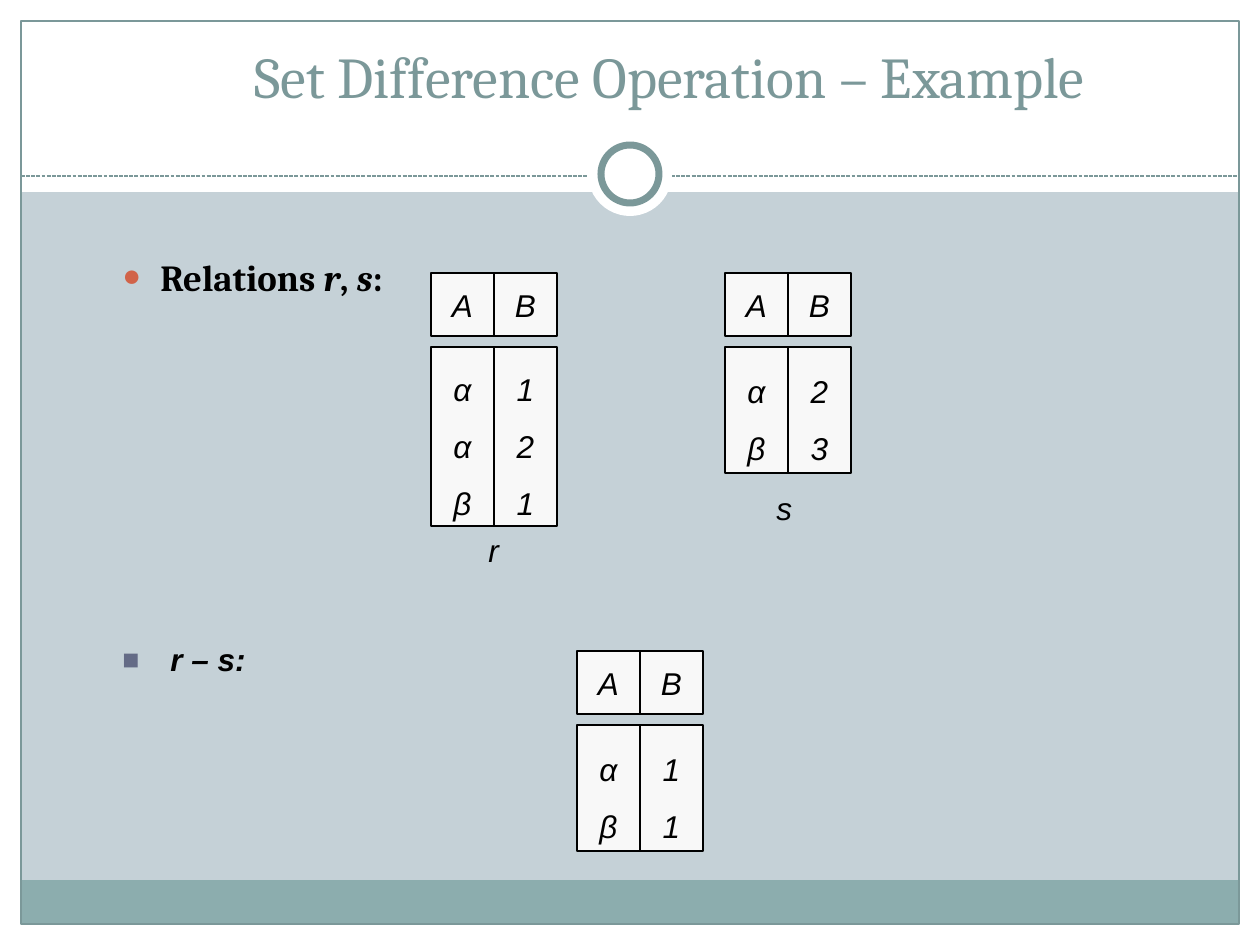
from lxml.etree import SubElement
from pptx import Presentation
from pptx.dml.color import RGBColor as RGB
from pptx.enum.dml import MSO_LINE as Dash
from pptx.enum.shapes import MSO_CONNECTOR as Link, MSO_SHAPE as Kind
from pptx.enum.text import MSO_ANCHOR as Anchor, MSO_AUTO_SIZE as Fit, PP_ALIGN as Align
from pptx.oxml.ns import qn
from pptx.util import Emu, Pt

# Content
TITLE = "Set Difference Operation – Example"
TABLES = [  # left, top, columns of values
    (431, 273, {"A": "ααβ", "B": "121"}),
    (725, 273, {"A": "αβ", "B": "23"}),
    (577, 651, {"A": "αβ", "B": "11"}),
]
LABELS = [("r", (476, 525, 35, 50)), ("s", (764, 483, 40, 50))]
ITEMS = [  # box, style, runs of (text, italic)
    ((110, 261, 945, 47), "topic",
     [("Relations ", False), ("r", True), (", ", False), ("s", True), (":", False)]),
    ((110, 638, 969, 45), "result", [("r – s:", True)]),
]


class Theme:
    back, white, cell, ink = "C5D1D7", "FFFFFF", "F8F8F8", "000000"
    line, foot = "7B9899", "8CADAE"
    thin, ring = 0.75, 4
    title = dict(name="Cambria", size=Pt(33), bold=False, italic=False)
    topic = dict(name="Cambria", size=Pt(21), bold=True)
    result = dict(name="Arial", size=Pt(18), bold=True)
    value = dict(name="Arial", size=Pt(18), italic=True)
    bullets = {  # mark, colour, size in percent, indent in px, line spacing
        "topic": ("●", "D16349", 85, 38, 0.7),
        "result": ("■", "646B86", 90, 48, 0.9),
    }


# Layout
SCALE = 914400 / 126
WIDE, HIGH = 1260, 945
EDGE = 21
CELL, GAP = 63, 11
BODY = {2: 126, 3: 179}  # body height by number of rows
DECOR = [  # kind, box, fill, line, line width
    (Kind.RECTANGLE, (0, HIGH - EDGE, WIDE, EDGE), Theme.white, None, 0),
    (Kind.RECTANGLE, (0, 0, WIDE, 192), Theme.white, None, 0),
    (Kind.RECTANGLE, (0, 0, EDGE, HIGH), Theme.white, None, 0),
    (Kind.RECTANGLE, (WIDE - EDGE, 0, EDGE, HIGH), Theme.white, None, 0),
    (Kind.RECTANGLE, (EDGE, 880, WIDE - 2 * EDGE, 43), Theme.foot, None, 0),
    (Kind.RECTANGLE, (EDGE, EDGE, WIDE - 2 * EDGE, HIGH - 2 * EDGE),
     None, Theme.line, Theme.thin),
]
RINGS = [
    (Kind.OVAL, (588, 132, 84, 84), Theme.white, None, 0),
    (Kind.OVAL, (601, 145, 58, 58), Theme.white, Theme.line, Theme.ring),
]


def px(*nums):
    return [Emu(round(n * SCALE)) for n in nums]


def style(font, look, hue=Theme.ink):
    for key, val in look.items():
        setattr(font, key, val)
    font.color.rgb = RGB.from_string(hue)


def draw(slide, kind, box, fill, line, width):
    shape = slide.shapes.add_shape(kind, *px(*box))
    shape.shadow.inherit = False
    if fill:
        shape.fill.solid()
        shape.fill.fore_color.rgb = RGB.from_string(fill)
    else:
        shape.fill.background()
    if line:
        shape.line.color.rgb = RGB.from_string(line)
        shape.line.width = Pt(width)
    else:
        shape.line.fill.background()
    return shape


def write(shape, rows, space=None):
    """Put centred value rows into a shape."""
    frame = shape.text_frame
    frame.word_wrap = False
    frame.vertical_anchor = Anchor.MIDDLE
    for num, text in enumerate(rows):
        para = frame.add_paragraph() if num else frame.paragraphs[0]
        para.alignment = Align.CENTER
        para.line_spacing = space
        run = para.add_run()
        run.text = text
        style(run.font, Theme.value)


def add_rule(slide):
    rule = slide.shapes.add_connector(Link.STRAIGHT, *px(EDGE, 176, WIDE - EDGE, 176))
    rule.line.color.rgb = RGB.from_string(Theme.line)
    rule.line.width = Pt(Theme.thin)
    rule.line.dash_style = Dash.SQUARE_DOT
    SubElement(rule._element.spPr, qn("a:effectLst"))


def add_title(slide):
    title = slide.shapes.title
    slide.shapes._spTree.append(title._element)  # in front of the white band
    title.left, title.top, title.width, title.height = px(113, 32, 1113, 84)
    title.text = TITLE
    frame = title.text_frame
    frame.auto_size = Fit.NONE
    frame.vertical_anchor = Anchor.BOTTOM
    para = frame.paragraphs[0]
    para.alignment = Align.CENTER
    style(para.runs[0].font, Theme.title, Theme.line)


def add_item(slide, box, name, runs):
    frame = slide.shapes.add_textbox(*px(*box)).text_frame
    frame.word_wrap = True
    para = frame.paragraphs[0]
    mark, hue, size, indent, space = Theme.bullets[name]
    para.line_spacing = space
    props = para._p.get_or_add_pPr()
    step = px(indent)[0]
    props.set("marL", str(step))
    props.set("indent", str(-step))
    SubElement(SubElement(props, qn("a:buClr")), qn("a:srgbClr"), val=hue)
    SubElement(props, qn("a:buSzPct"), val=str(size * 1000))
    SubElement(props, qn("a:buFont"), typeface="Arial")
    SubElement(props, qn("a:buChar"), char=mark)
    for text, slant in runs:
        run = para.add_run()
        run.text = text
        style(run.font, getattr(Theme, name) | {"italic": slant})


def add_grid(slide, left, top, cols):
    look = (Theme.cell, Theme.ink, Theme.thin)
    for num, (head, rows) in enumerate(cols.items()):
        x = left + num * CELL
        write(draw(slide, Kind.RECTANGLE, (x, top, CELL, CELL), *look), [head])
        body = (x, top + CELL + GAP, CELL, BODY[len(rows)])
        write(draw(slide, Kind.RECTANGLE, body, *look), rows, 1.5)


def main():
    deck = Presentation()
    deck.slide_width, deck.slide_height = px(WIDE, HIGH)
    slide = deck.slides.add_slide(deck.slide_layouts[5])
    slide.background.fill.solid()
    slide.background.fill.fore_color.rgb = RGB.from_string(Theme.back)
    for part in DECOR:
        draw(slide, *part)
    add_rule(slide)
    for ring in RINGS:
        draw(slide, *ring)
    add_title(slide)
    for item in ITEMS:
        add_item(slide, *item)
    for grid in TABLES:
        add_grid(slide, *grid)
    for text, box in LABELS:
        label = slide.shapes.add_textbox(*px(*box))
        write(label, [text])
        label.text_frame.auto_size = Fit.SHAPE_TO_FIT_TEXT
    deck.save("out.pptx")


if __name__ == "__main__":
    main()
